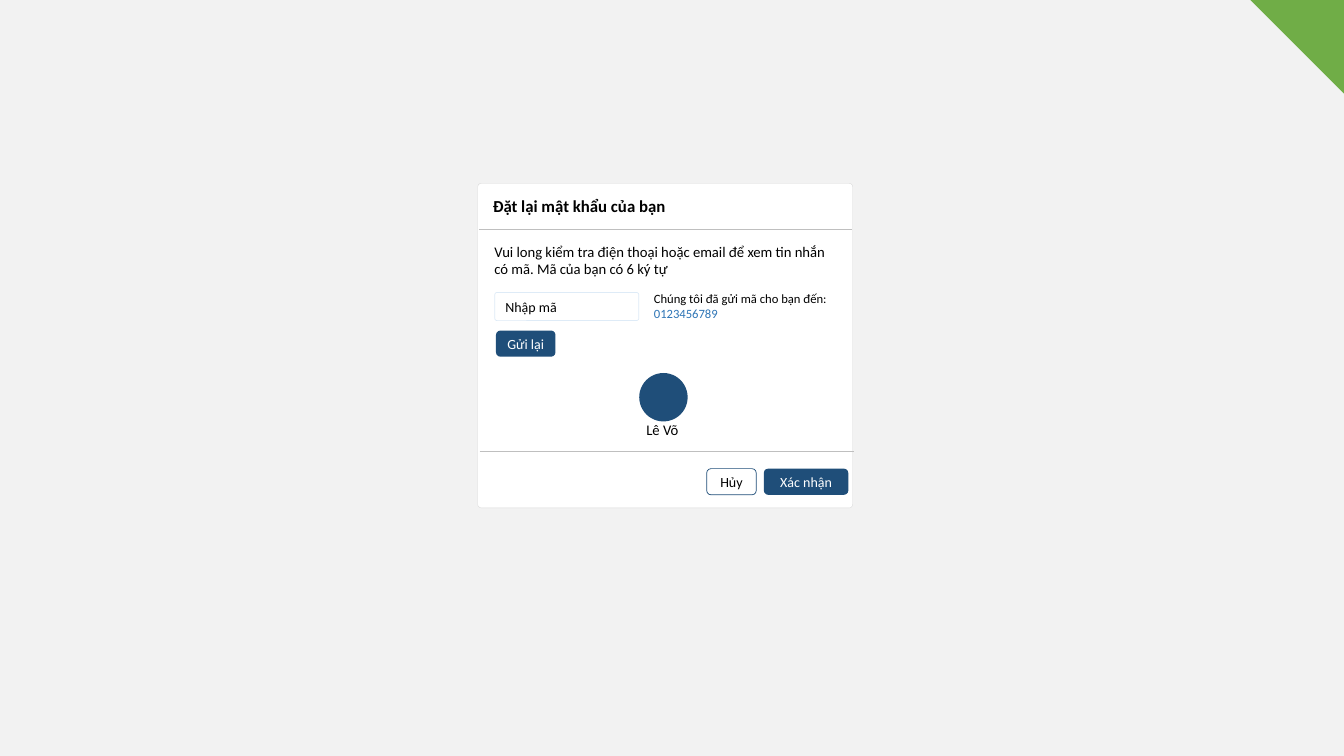
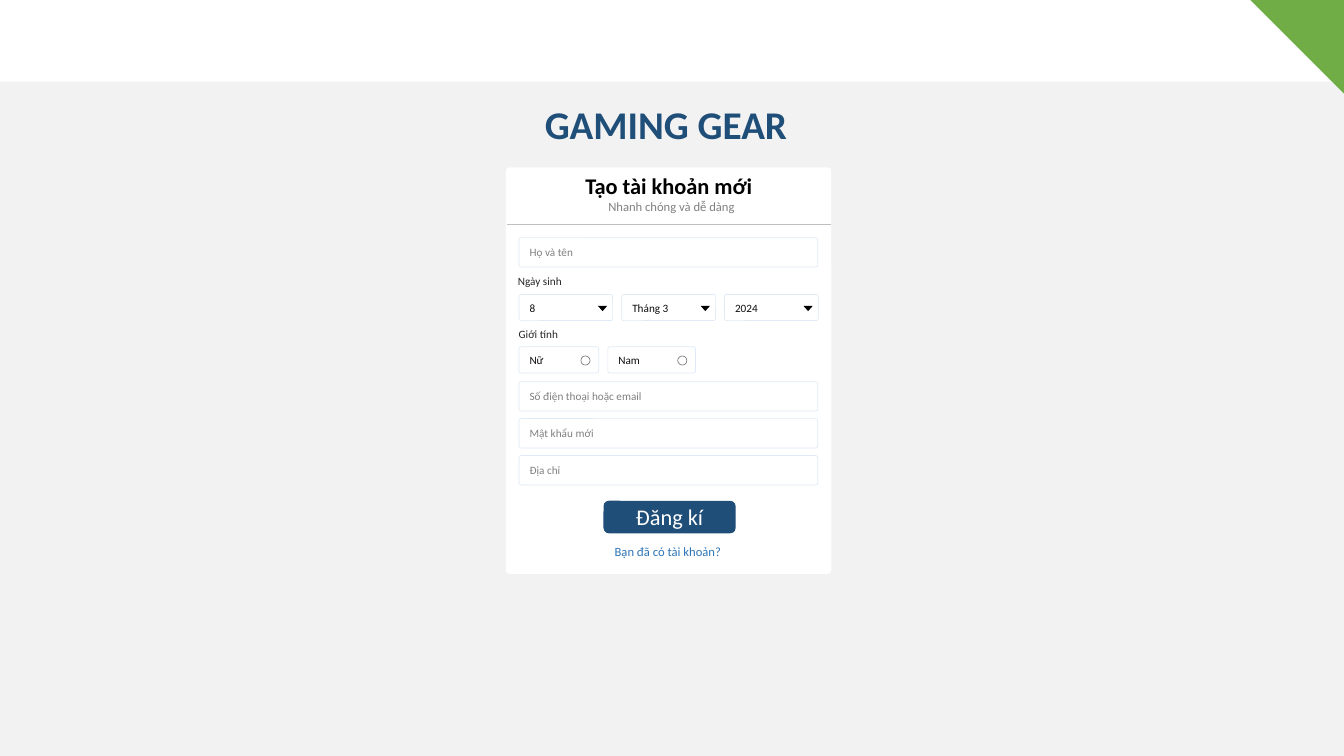
"""Builds the password reset and sign-up screens of a web shop."""
from dataclasses import dataclass

from lxml.etree import SubElement
from pptx import Presentation
from pptx.dml.color import RGBColor
from pptx.enum.shapes import MSO_CONNECTOR as Connector, MSO_SHAPE as Shape
from pptx.enum.text import MSO_ANCHOR as Anchor, MSO_AUTO_SIZE as AutoSize, PP_ALIGN as Align
from pptx.oxml.ns import qn
from pptx.util import Cm, Pt


@dataclass(frozen=True)
class Theme:
    font: str = "Calibri"
    page: str = "F2F2F2"
    white: str = "FFFFFF"
    black: str = "000000"
    label: str = "262626"
    value: str = "0D0D0D"
    hint: str = "808080"
    navy: str = "1F4E79"
    link: str = "2E75B6"
    green: str = "70AD47"
    edge: str = "D9D9D9"
    rule: str = "BFBFBF"
    field: str = "DEEBF7"
    brand_size: float = 28
    heading_size: float = 16
    title_size: float = 12
    body_size: float = 10.5
    button_size: float = 10
    note_size: float = 9
    form_size: float = 8
    hairline: float = 0.25
    thin: float = 0.5
    card_round: float = 0.011
    field_round: float = 0.082


class Screen:
    width, height = 33.87, 19.05

    def __init__(self, deck, theme):
        self.theme = theme
        self.page = deck.slides.add_slide(deck.slide_layouts[6])
        background = self.page.background.fill
        background.solid()
        background.fore_color.rgb = RGBColor.from_string(theme.page)

    def shape(self, kind, left, top, width, height, fill=None, line=None, weight=None, rounding=None, rotation=0):
        box = self.page.shapes.add_shape(kind, Cm(left), Cm(top), Cm(width), Cm(height))
        box.shadow.inherit = False
        box.rotation = rotation
        if rounding is not None:
            box.adjustments[0] = rounding
        if fill:
            box.fill.solid()
            box.fill.fore_color.rgb = RGBColor.from_string(fill)
        else:
            box.fill.background()
        if line:
            box.line.color.rgb = RGBColor.from_string(line)
            box.line.width = Pt(weight or self.theme.thin)
        else:
            box.line.fill.background()
        return box

    def style(self, span, size, color, bold=False):
        span.font.name = self.theme.font
        span.font.size = Pt(size)
        span.font.bold = bold
        span.font.color.rgb = RGBColor.from_string(color)

    def caption(self, box, words, size, color, bold=False, align=Align.LEFT):
        para = box.text_frame.paragraphs[0]
        para.text = words
        para.alignment = align
        self.style(para.runs[0], size, color, bold)
        return para

    def text(self, words, left, top, width, height, size, color, bold=False, wrap=False):
        box = self.page.shapes.add_textbox(Cm(left), Cm(top), Cm(width), Cm(height))
        box.text_frame.word_wrap = wrap
        box.text_frame.auto_size = AutoSize.SHAPE_TO_FIT_TEXT
        return self.caption(box, words, size, color, bold)

    def rule(self, left, right, top):
        line = self.page.shapes.add_connector(Connector.STRAIGHT, Cm(left), Cm(top), Cm(right), Cm(top))
        line.line.color.rgb = RGBColor.from_string(self.theme.rule)
        line.line.width = Pt(self.theme.thin)
        SubElement(line._element.spPr, qn("a:effectLst"))

    def card(self, left, top, width, height, line=None):
        self.shape(Shape.ROUNDED_RECTANGLE, left, top, width, height, self.theme.white, line,
                   self.theme.hairline, self.theme.card_round)

    def field(self, words, left, top, width, height, size, color):
        box = self.shape(Shape.ROUNDED_RECTANGLE, left, top, width, height,
                         line=self.theme.field, rounding=self.theme.field_round)
        box.text_frame.vertical_anchor = Anchor.MIDDLE
        self.caption(box, words, size, color)

    def hint(self, words, top, height=0.74):
        self.field(words, 13.08, top, 7.53, height, self.theme.form_size, self.theme.hint)

    def select(self, words, left, top):
        self.field(words, left, top, 2.36, 0.66, self.theme.form_size, self.theme.value)
        self.shape(Shape.ISOSCELES_TRIANGLE, left + 1.99, top + 0.29, 0.23, 0.13, self.theme.black, rotation=180)

    def option(self, words, left, top, width):
        self.field(words, left, top, width, 0.66, self.theme.form_size, self.theme.value)
        self.shape(Shape.OVAL, left + width - 0.45, top + 0.23, 0.23, 0.23, line=self.theme.hint)

    def button(self, words, left, top, width, height=0.66, size=None, outlined=False):
        theme = self.theme
        fill, line, color = (None, theme.navy, theme.black) if outlined else (theme.navy, None, theme.white)
        box = self.shape(Shape.ROUNDED_RECTANGLE, left, top, width, height, fill, line)
        box.text_frame.vertical_anchor = Anchor.MIDDLE
        self.caption(box, words, size or theme.button_size, color, align=Align.CENTER)

    def corner(self):
        side = 2.36
        self.shape(Shape.RIGHT_TRIANGLE, self.width - side, 0, side, side, self.theme.green, rotation=180)


def reset_screen(deck, theme):
    screen = Screen(deck, theme)
    screen.card(12.04, 4.62, 9.45, 8.18, theme.edge)
    screen.text("Đặt lại mật khẩu của bạn", 12.17, 4.8, 4.93, 0.76, theme.title_size, theme.black, bold=True)
    screen.rule(12.07, 21.46, 5.78)
    screen.text("Vui long kiểm tra điện thoại hoặc email để xem tin nhắn có mã. Mã của bạn có 6 ký tự",
                12.21, 5.99, 9.04, 1.14, theme.body_size, theme.black, wrap=True)
    screen.field("Nhập mã", 12.47, 7.37, 3.63, 0.71, theme.button_size, theme.black)
    sent = screen.text("Chúng tôi đã gửi mã cho bạn đến: ", 16.23, 7.21, 5.16, 1.02,
                       theme.note_size, theme.black, wrap=True)
    number = sent.add_run()
    number.text = "0123456789"
    screen.style(number, theme.note_size, theme.link)
    screen.button("Gửi lại", 12.5, 8.33, 1.5)
    screen.shape(Shape.OVAL, 16.11, 9.4, 1.22, 1.22, theme.navy)
    screen.text("Lê Võ", 16.04, 10.49, 1.4, 0.71, theme.body_size, theme.black, wrap=True)
    screen.rule(12.09, 21.51, 11.37)
    screen.button("Hủy", 17.81, 11.81, 1.25, outlined=True)
    screen.button("Xác nhận", 19.25, 11.81, 2.13)
    screen.corner()


def signup_screen(deck, theme):
    screen = Screen(deck, theme)
    screen.card(12.75, 4.22, 8.2, 10.24)
    screen.text("GAMING GEAR", 13.48, 2.41, 6.71, 1.45, theme.brand_size, theme.navy, bold=True)
    screen.text("Tạo tài khoản mới", 14.5, 4.22, 4.78, 0.94, theme.heading_size, theme.black, bold=True)
    screen.text("Nhanh chóng và dễ dàng", 15.08, 4.9, 3.73, 0.64, theme.note_size, theme.hint)
    screen.rule(12.78, 20.93, 5.66)
    screen.hint("Họ và tên", 5.99)
    screen.text("Ngày sinh", 12.8, 6.78, 1.65, 0.61, theme.form_size, theme.label)
    for index, words in enumerate(("8", "Tháng 3", "2024")):
        screen.select(words, 13.08 + 2.59 * index, 7.42)
    screen.text("Giới tính", 12.82, 8.13, 1.52, 0.61, theme.form_size, theme.label)
    screen.option("Nữ", 13.08, 8.74, 2.01)
    screen.option("Nam", 15.32, 8.74, 2.21)
    for index, words in enumerate(("Số điện thoại hoặc email", "Mật khẩu mới", "Địa chỉ")):
        screen.hint(words, 9.62 + 0.93 * index)
    screen.button("Đăng kí", 15.21, 12.62, 3.33, 0.82, theme.heading_size)
    screen.text("Bạn đã có tài khoản?", 15.24, 13.59, 3.2, 0.64, theme.note_size, theme.link)
    screen.shape(Shape.RECTANGLE, 0, 0, screen.width, 2.06, theme.white)
    screen.corner()


def main():
    deck = Presentation()
    deck.slide_width, deck.slide_height = Cm(Screen.width), Cm(Screen.height)
    theme = Theme()
    reset_screen(deck, theme)
    signup_screen(deck, theme)
    deck.save("out.pptx")


if __name__ == "__main__":
    main()
